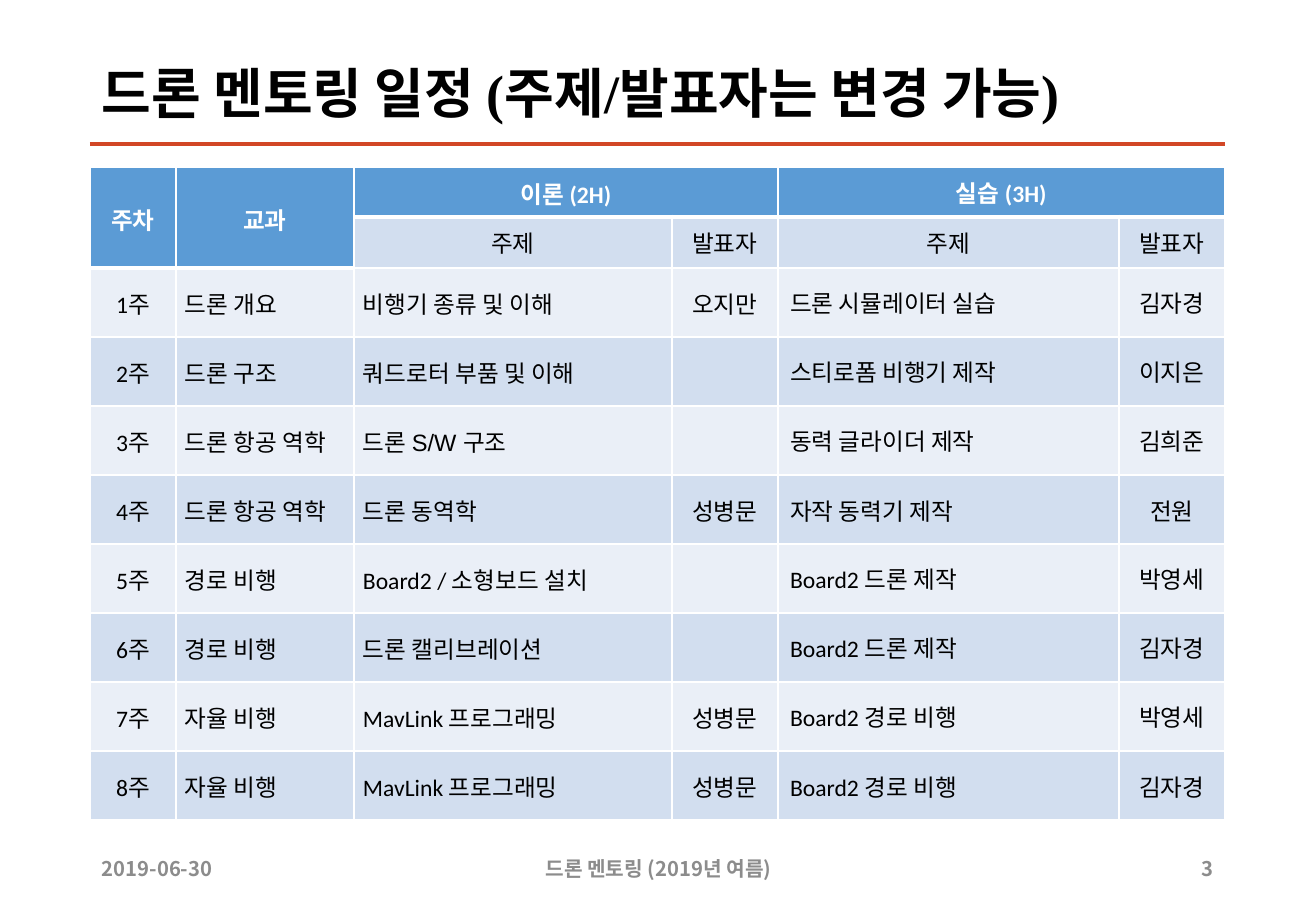
"""Build the drone mentoring schedule slide."""
from dataclasses import dataclass
from lxml.etree import SubElement
from pptx import Presentation
from pptx.dml.color import RGBColor as RGB
from pptx.enum.shapes import MSO_CONNECTOR as CONN
from pptx.enum.text import MSO_ANCHOR as ANCHOR, PP_ALIGN as AL
from pptx.oxml import parse_xml
from pptx.oxml.ns import nsdecls, qn
from pptx.util import Emu, Pt

TITLE = "드론 멘토링 일정 (주제/발표자는 변경 가능)"
HEADERS = [("주차", 0, 2, 1), ("교과", 1, 2, 1), ("이론 (2H)", 2, 1, 2), ("실습 (3H)", 4, 1, 2)]
SUBHEADERS = ["주제", "발표자"] * 2
WEEKS = [
    ("드론 개요", "비행기 종류 및 이해", "오지만", "드론 시뮬레이터 실습", "김자경"),
    ("드론 구조", "쿼드로터 부품 및 이해", "", "스티로폼 비행기 제작", "이지은"),
    ("드론 항공 역학", "드론 S/W 구조", "", "동력 글라이더 제작", "김희준"),
    ("드론 항공 역학", "드론 동역학", "성병문", "자작 동력기 제작", "전원"),
    ("경로 비행", "Board2 / 소형보드 설치", "", "Board2 드론 제작", "박영세"),
    ("경로 비행", "드론 캘리브레이션", "", "Board2 드론 제작", "김자경"),
    ("자율 비행", "MavLink 프로그래밍", "성병문", "Board2 경로 비행", "박영세"),
    ("자율 비행", "MavLink 프로그래밍", "성병문", "Board2 경로 비행", "김자경"),
]
FOOTERS = [("2019-06-30", 90, 154, AL.LEFT), ("드론 멘토링 (2019년 여름)", 436, 445, AL.CENTER),
           ("3", 1161, 64, AL.RIGHT)]
COLS = [86, 178, 318, 106, 341, 106]
ROWS = [50, 51] + [69] * len(WEEKS)
ALIGNS = [AL.CENTER, AL.JUSTIFY, AL.JUSTIFY, AL.CENTER, AL.LEFT, AL.CENTER]
LEFT, WIDTH = 90, sum(COLS)


@dataclass(frozen=True)
class Theme:
    black: str = "000000"
    white: str = "FFFFFF"
    rule: str = "D24726"
    header: str = "5B9BD5"
    bands: tuple = ("D2DEEF", "EAEFF7")
    muted: str = "8C8C8C"
    serif: str = "Times New Roman"
    body: str = "Calibri"
    sans: str = "Arial"
    korean: str = "Noto Sans CJK KR"
    title_pt: int = 32
    body_pt: int = 14
    footer_pt: int = 12


T = Theme()


def px(n):
    return Emu(round(n * 914400 / 121.5))


def write(tf, text, size=T.body_pt, font=T.body, color=T.black, bold=False, align=AL.LEFT, spacing=None):
    p = tf.paragraphs[0]
    p.alignment = align
    p.line_spacing = spacing
    r = p.add_run()
    r.text = text
    r.font.size, r.font.name, r.font.bold = Pt(size), font, bold
    r.font.color.rgb = RGB.from_string(color)
    SubElement(r._r.get_or_add_rPr(), qn("a:ea")).set("typeface", T.korean)


def add_text(s, box, text, **fmt):
    tf = s.shapes.add_textbox(*map(px, box)).text_frame
    tf.word_wrap = True
    tf.vertical_anchor = ANCHOR.MIDDLE
    write(tf, text, **fmt)


def style_cell(cell, fill, top=1, bottom=1):
    cell.fill.solid()
    cell.fill.fore_color.rgb = RGB.from_string(fill)
    cell.vertical_anchor = ANCHOR.MIDDLE
    for i, (side, pt) in enumerate(zip("LRTB", (1, 1, top, bottom))):
        cell._tc.get_or_add_tcPr().insert(i, parse_xml(
            f'<a:ln{side} {nsdecls("a")} w="{Pt(pt)}"><a:solidFill>'
            f'<a:srgbClr val="{T.white}"/></a:solidFill></a:ln{side}>'))


def fill_cell(cell, text, tight, **fmt):
    if tight:
        cell.margin_left = cell.margin_right = px(9)
        cell.margin_top = cell.margin_bottom = px(2)
    if text:
        write(cell.text_frame, text, **fmt)


def add_schedule(s):
    table = s.shapes.add_table(len(ROWS), len(COLS), *map(px, (LEFT, 167, WIDTH, sum(ROWS)))).table
    for col, width in zip(table.columns, COLS):
        col.width = px(width)
    for row, height in zip(table.rows, ROWS):
        row.height = px(height)
    for r in range(len(ROWS)):
        for c in range(len(COLS)):
            is_header = r == 0 or (r == 1 and c < 2)
            style_cell(table.cell(r, c), T.header if is_header else T.bands[(r + 1) % 2 if r > 1 else 0],
                       top=3 if (r == 1 and c > 1) or (r == 2 and c < 2) else 1,
                       bottom=3 if is_header else 1)
    for text, c, down, across in HEADERS:
        cell = table.cell(0, c)
        cell.merge(table.cell(down - 1, c + across - 1))
        fill_cell(cell, text, c < 4, color=T.white, bold=True, align=AL.CENTER,
                  spacing=1.07 if c < 4 else None)
    for c, text in enumerate(SUBHEADERS, 2):
        fill_cell(table.cell(1, c), text, False, align=AL.CENTER)
    for week, topics in enumerate(WEEKS, 1):
        for c, text in enumerate((f"{week}주", *topics)):
            fill_cell(table.cell(week + 1, c), text, c < 4, align=ALIGNS[c],
                      font=T.sans if "S/W" in text else T.body,
                      spacing=1.07 if c < 4 or week % 4 == 0 else None)


prs = Presentation()
prs.slide_width, prs.slide_height = px(1316), px(911)
s = prs.slides.add_slide(prs.slide_layouts[6])
rule = s.shapes.add_connector(CONN.STRAIGHT, *map(px, (LEFT, 144, LEFT + WIDTH, 144)))
rule.line.color.rgb = RGB.from_string(T.rule)
rule.line.width = Pt(2)
SubElement(rule._element.spPr, qn("a:effectLst"))
add_text(s, (LEFT, 48, WIDTH, 96), TITLE, size=T.title_pt, font=T.serif, bold=True, spacing=0.9)
add_schedule(s)
for text, x, width, align in FOOTERS:
    add_text(s, (x, 844, width, 49), text, size=T.footer_pt, font=T.korean, color=T.muted,
             bold=True, align=align)
prs.save("out.pptx")
